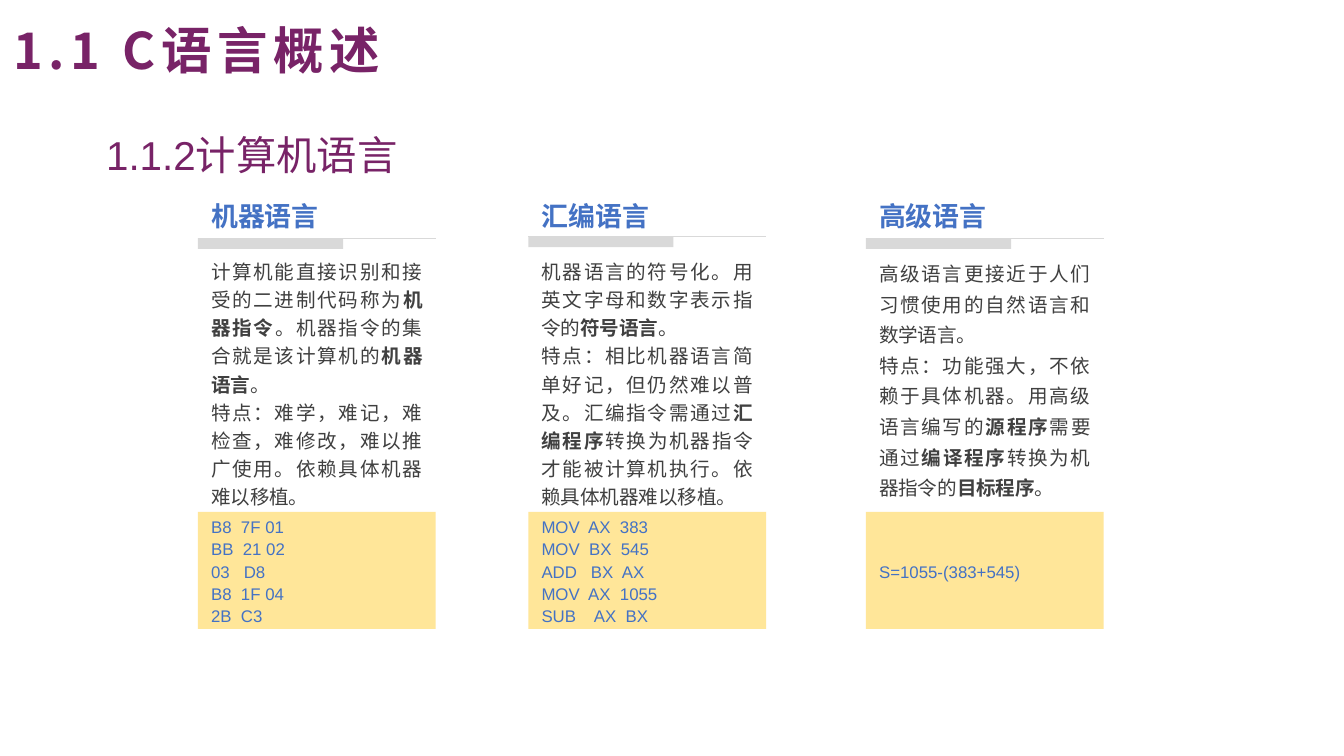
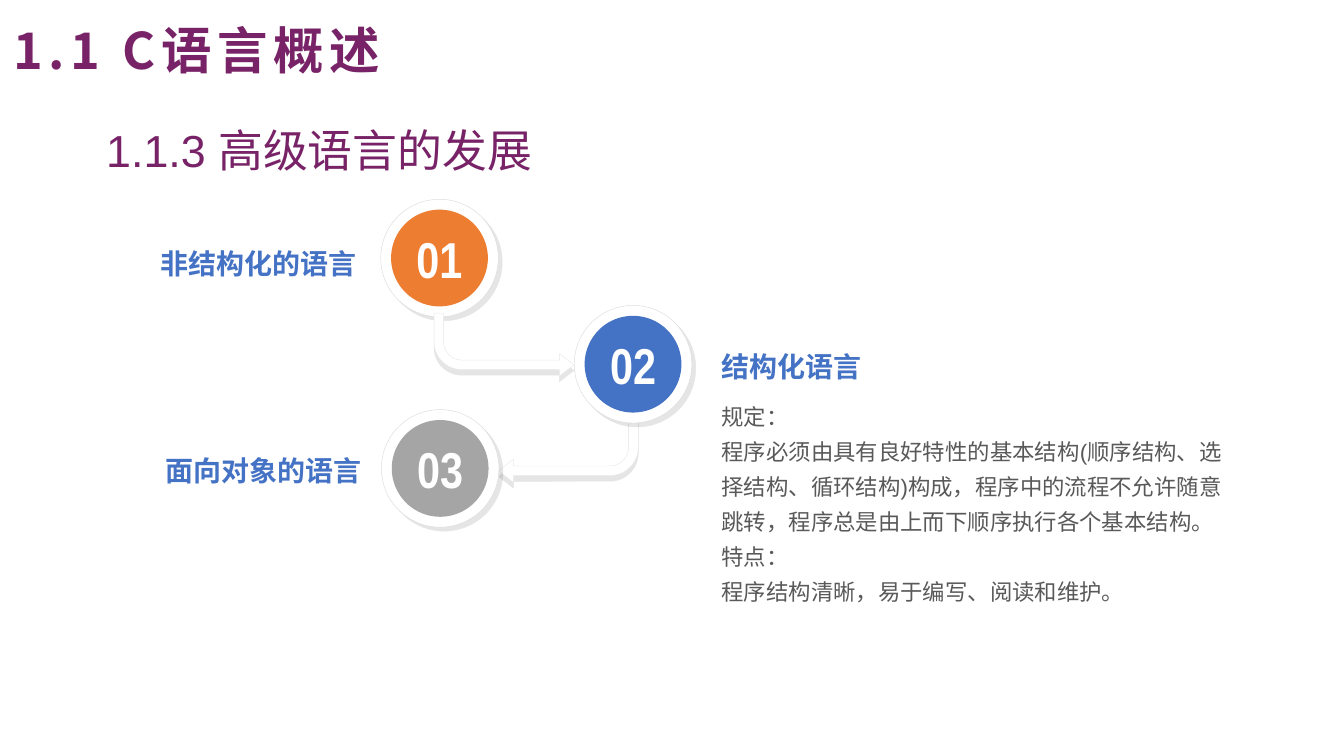
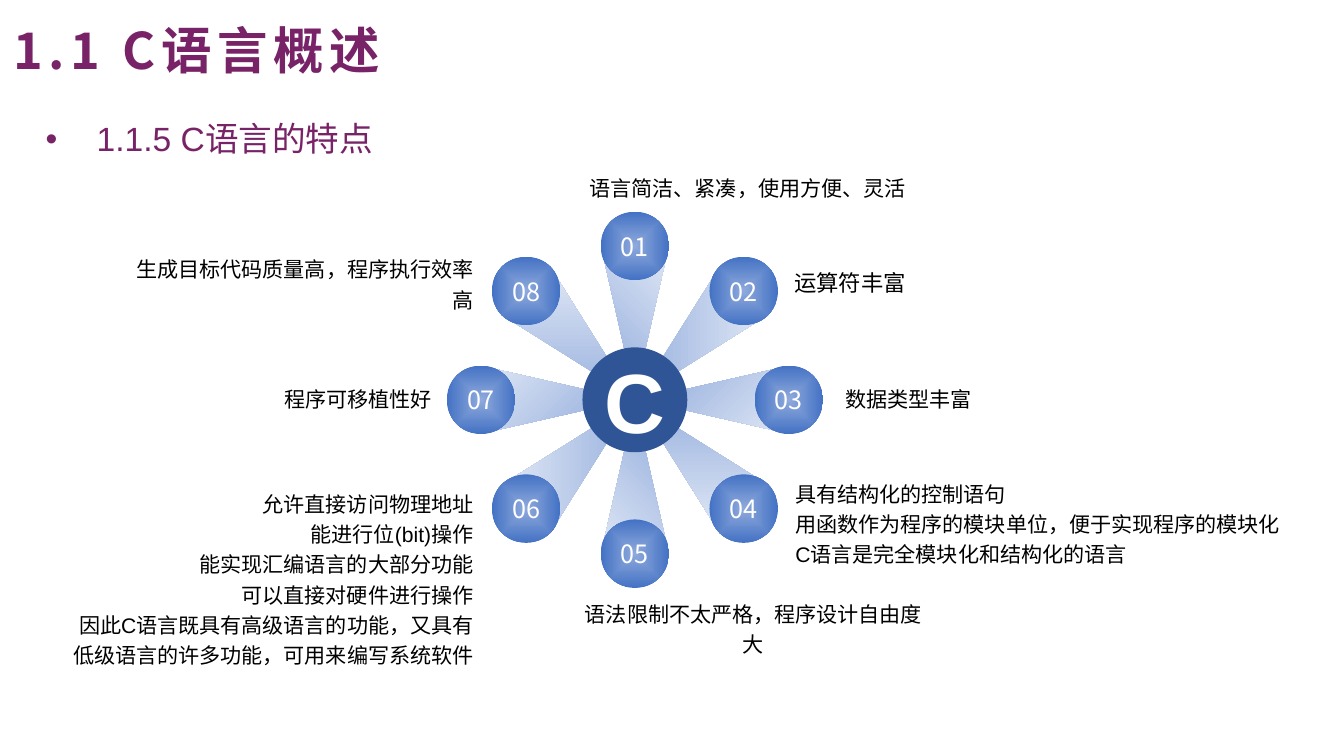
import math
from lxml import etree
from pptx import Presentation
from pptx import util as u
from pptx.dml.color import RGBColor
from pptx.enum import shapes, text
from pptx.oxml import ns

# Shared look; the grid has 100 square cells across the 16:9 slide
WIDTH = u.Inches(10)
HEIGHT = u.Emu(WIDTH * 9 // 16)
CELL = WIDTH / 100
PURPLE, BLUE, WHITE, BLACK = "782367", "4472C4", "FFFFFF", "000000"
BAR_GREY, CODE_FILL = "D9D9D9", "FFE699"
PALE_BLUE, SOFT_BLUE, DEEP_BLUE = "DAE3F3", "8FAADC", "2F5597"
SANS, NARROW, HAN = "Arial", "Arial Narrow", "Noto Sans CJK SC"
LEFT, CENTER, RIGHT, JUSTIFY = (text.PP_ALIGN.LEFT, text.PP_ALIGN.CENTER,
                                text.PP_ALIGN.RIGHT, text.PP_ALIGN.JUSTIFY)
TOP, MIDDLE, BOTTOM = (text.MSO_ANCHOR.TOP, text.MSO_ANCHOR.MIDDLE,
                       text.MSO_ANCHOR.BOTTOM)
KIND = shapes.MSO_SHAPE
CHAPTER = "1.1 C语言概述"
CHAPTER_BOX = (0, 0.9, 63.7, 5.9)


def color(code):
    return RGBColor.from_string(code)


def cells(*values):
    return [u.Emu(round(value * CELL)) for value in values]


def add_xml(parent, tag, **attributes):
    return etree.SubElement(parent, ns.qn(tag), attributes)


def write(shape, lines, size, code, font=SANS, bold=None, align=LEFT, anchor=TOP,
          spacing=None, insets=(1, 0.5, 1, 0.5), tracking=None, bullet=None):
    """Fill a shape with paragraphs; **marked** parts become bold."""
    frame = shape.text_frame
    frame.word_wrap = True
    frame.auto_size = text.MSO_AUTO_SIZE.NONE
    frame.vertical_anchor = anchor
    (frame.margin_left, frame.margin_top,
     frame.margin_right, frame.margin_bottom) = cells(*insets)
    for index, line in enumerate(lines):
        paragraph = frame.add_paragraph() if index else frame.paragraphs[0]
        paragraph.alignment = align
        paragraph.line_spacing = spacing
        if bullet:
            props = paragraph._p.get_or_add_pPr()
            indent = cells(3.8)[0]
            props.set("marL", str(indent))
            props.set("indent", str(-indent))
            add_xml(props, "a:buFont", typeface=font)
            add_xml(props, "a:buChar", char=bullet)
        style = paragraph.font
        style.size, style.name, style.bold = u.Pt(size), font, bold
        style.color.rgb = color(code)
        add_xml(style._element, "a:ea", typeface=font)
        if tracking:
            style._element.set("spc", str(tracking * 100))
        for part, words in enumerate(line.split("**")):
            if words:
                run = paragraph.add_run()
                run.text = words
                if part % 2:
                    run.font.bold = True


def label(slide, box, lines, size, code=BLACK, **style):
    write(slide.shapes.add_textbox(*cells(*box)), lines, size, code, **style)


def title(slide, box, words, size, **style):
    holder = slide.shapes.title
    holder.left, holder.top, holder.width, holder.height = cells(*box)
    write(holder, [words], size, PURPLE, **style)


def chapter(slide, put):
    """Put the chapter heading in the title or in a text box."""
    style = dict(font=HAN, bold=True, tracking=3)
    if put is title:
        title(slide, CHAPTER_BOX, CHAPTER, 27, **style)
    else:
        label(slide, CHAPTER_BOX, [CHAPTER], 27, PURPLE, **style)


def solid(parent, kind, box, fill=None, line=None):
    shape = parent.add_shape(kind, *cells(*box))
    shape.shadow.inherit = False
    if fill:
        shape.fill.solid()
        shape.fill.fore_color.rgb = color(fill)
    if line:
        shape.line.color.rgb = color(line)
        shape.line.width = u.Pt(0.25)
    else:
        shape.line.fill.background()
    return shape


def around(x, y, width, height=None):
    """Box of the given size centred on a point."""
    height = height or width
    return x - width / 2, y - height / 2, width, height


def flip(shape, *axes):
    for axis in axes:
        shape._element.spPr.find(ns.qn("a:xfrm")).set(axis, "1")


def drop_shadow(shape, degrees):
    effects = shape._element.spPr.find(ns.qn("a:effectLst"))
    shade = add_xml(effects, "a:outerShdw", blurRad="0", dist=str(u.Pt(3)),
                    dir=str(degrees * 60000), algn="ctr", rotWithShape="0")
    add_xml(add_xml(shade, "a:srgbClr", val=BLACK), "a:alpha", val="10000")


def gradient(shape, start, end, radial=False):
    shape.fill.gradient()
    for stop, code, place in zip(shape.fill.gradient_stops, (start, end), (0, 0.99)):
        stop.color.rgb, stop.position = color(code), place
    if not radial:
        shape.fill.gradient_angle = 315
        return
    grad = shape._element.spPr.find(ns.qn("a:gradFill"))
    grad.remove(grad.find(ns.qn("a:lin")))
    focus = add_xml(grad, "a:path", path="shape")
    add_xml(focus, "a:fillToRect", l="50000", t="50000", r="50000", b="50000")


# Slide 1: three kinds of language
def language_column(slide, left, bar_top, name, body, spacing, code):
    width = 17.7
    label(slide, (left, 14.25, width, 3.5), [name], 14.4, BLUE, font=HAN,
          bold=True, anchor=BOTTOM)
    label(slide, (left, 18.5, width, 20.1), body, 10.5, "404040",
          align=JUSTIFY, spacing=spacing)
    sample = solid(slide.shapes, KIND.RECTANGLE, (left, 38.1, width, 8.7), CODE_FILL)
    write(sample, code, 9, BLUE, align=JUSTIFY, anchor=MIDDLE, spacing=1.1)
    divider = slide.shapes.add_group_shape().shapes
    solid(divider, KIND.RECTANGLE, (left, bar_top, 10.8, 0.8), BAR_GREY)
    rule = divider.add_connector(shapes.MSO_CONNECTOR.STRAIGHT,
                                 *cells(left, bar_top, left + width, bar_top))
    rule.line.color.rgb = color(BAR_GREY)
    rule.line.width = u.Pt(0.5)
    add_xml(rule._element.spPr, "a:effectLst")


def languages(slide):
    title(slide, (6.9, 9.6, 86.2, 4.6), "1.1.2计算机语言", 21.6, spacing=0.9)
    language_column(
        slide, 14.73, 17.73, "机器语言",
        ["计算机能直接识别和接受的二进制代码称为**机器指令**。"
         "机器指令的集合就是该计算机的**机器语言**。",
         "特点：难学，难记，难检查，难修改，难以推广使用。依赖具体机器难以移植。"],
        1.2, ["B8  7F 01", "BB  21 02", "03   D8", "B8  1F 04", "2B  C3"])
    language_column(
        slide, 39.31, 17.6, "汇编语言",
        ["机器语言的符号化。用英文字母和数字表示指令的**符号语言**。",
         "特点：相比机器语言简单好记，但仍然难以普及。汇编指令需通过**汇编程序**"
         "转换为机器指令才能被计算机执行。依赖具体机器难以移植。"],
        1.2, ["MOV  AX  383", "MOV  BX  545", "ADD   BX  AX",
              "MOV  AX  1055", "SUB    AX  BX"])
    language_column(
        slide, 64.43, 17.73, "高级语言",
        ["高级语言更接近于人们习惯使用的自然语言和数学语言。",
         "特点：功能强大，不依赖于具体机器。用高级语言编写的**源程序**需要"
         "通过**编译程序**转换为机器指令的**目标程序**。"],
        1.3, ["S=1055-(383+545)"])
    chapter(slide, label)


# Slide 2: steps in the growth of high-level languages
def step_arrow(slide, box, *axes):
    arrow = solid(slide.shapes, KIND.BENT_ARROW, box, WHITE, "EAEAEA")
    for index, value in enumerate((0.15, 0.18, 0.23, 0.44)):
        arrow.adjustments[index] = value
    flip(arrow, *axes)
    drop_shadow(arrow, 90)


def step_disc(slide, x, y, number, fill):
    ring = solid(slide.shapes, KIND.OVAL, around(x, y, 8.75), WHITE, "DDDDDD")
    drop_shadow(ring, 45)
    disc = solid(slide.shapes, KIND.OVAL, around(x, y, 7.2), fill)
    write(disc, [number], 27, WHITE, font=NARROW, bold=True, align=CENTER,
          anchor=MIDDLE, insets=(0, 0, 0, 0))


def development(slide):
    title(slide, (6.9, 9.1, 86.2, 4.7), "1.1.3 高级语言的发展", 24, spacing=0.9)
    step_disc(slide, 32.7, 19.2, "01", "ED7D31")
    step_arrow(slide, (37.1, 31.1, 10.4, 4.8), "flipH", "flipV")
    step_arrow(slide, (32.3, 23.3, 10.4, 4.7), "flipV")
    step_disc(slide, 47.1, 27.1, "02", BLUE)
    step_disc(slide, 32.75, 34.85, "03", "A5A5A5")
    for left, top, name, align in ((4.7, 17.75, "非结构化的语言", RIGHT),
                                   (5.05, 33.15, "面向对象的语言", RIGHT),
                                   (52.7, 25.4, "结构化语言", LEFT)):
        label(slide, (left, top, 22.8, 3.7), [name], 15, BLUE, font=HAN,
              bold=True, align=align, anchor=MIDDLE)
    label(slide, (52.7, 28.9, 39.5, 17.6),
          ["规定：",
           "程序必须由具有良好特性的基本结构(顺序结构、选择结构、循环结构)构成，"
           "程序中的流程不允许随意跳转，程序总是由上而下顺序执行各个基本结构。",
           "特点：",
           "程序结构清晰，易于编写、阅读和维护。"], 12, "595959", spacing=1.3)
    chapter(slide, label)


# Slide 3: wheel of eight features
def feature_wheel(slide, x, y, count):
    def spot(index, radius):
        turn = math.radians(index * 360 / count)
        return x + radius * math.sin(turn), y - radius * math.cos(turn)

    for index in range(count):
        ray = solid(slide.shapes, KIND.ISOSCELES_TRIANGLE,
                    around(*spot(index, 5.5), 4.7, 10.35))
        gradient(ray, SOFT_BLUE, PALE_BLUE)
        flip(ray, "flipV")
        ray.rotation = index * 360 / count
    inside = dict(align=CENTER, anchor=MIDDLE, insets=(0, 0, 0, 0))
    for index in range(count):
        ball = solid(slide.shapes, KIND.OVAL, around(*spot(index, 11.45), 5.1))
        gradient(ball, SOFT_BLUE, BLUE, radial=True)
        write(ball, [f"{index + 1:02}"], 13.5, WHITE, font=HAN, **inside)
    hub = solid(slide.shapes, KIND.OVAL, around(x, y, 7.8), DEEP_BLUE)
    write(hub, ["C"], 45, WHITE, bold=True, **inside)


def features(slide):
    chapter(slide, title)
    label(slide, (2.7, 6.9, 92.4, 4.8), ["1.1.5 C语言的特点"], 18, PURPLE,
          spacing=1.5, insets=(0.7, 0.4, 0.7, 0.4), bullet="•")
    feature_wheel(slide, 47.24, 29.75, 8)
    notes = [
        ((42, 12.4, 26.8, 3), CENTER, BOTTOM, [" 语言简洁、紧凑，使用方便、灵活"]),
        ((61.5, 28, 13.6, 3), LEFT, MIDDLE, [" 数据类型丰富"]),
        ((58.2, 37.3, 38.4, 3), LEFT, MIDDLE,
         ["具有结构化的控制语句",
          "用函数作为程序的模块单位，便于实现程序的模块化",
          "C语言是完全模块化和结构化的语言"]),
        ((42, 43.9, 28.1, 3), CENTER, TOP, ["语法限制不太严格，程序设计自由度大"]),
        ((4.2, 35.3, 32, 15.3), RIGHT, MIDDLE,
         ["允许直接访问物理地址", "能进行位(bit)操作",
          "能实现汇编语言的大部分功能", "可以直接对硬件进行操作",
          "因此C语言既具有高级语言的功能，又具有低级语言的许多功能，"
          "可用来编写系统软件"]),
        ((19.8, 28, 13.3, 3), RIGHT, MIDDLE, ["程序可移植性好"]),
        ((7.7, 19.5, 28.5, 3), RIGHT, MIDDLE, ["生成目标代码质量高，程序执行效率高"]),
    ]
    for box, align, anchor, lines in notes:
        label(slide, box, lines, 11.25, align=align, anchor=anchor, spacing=1.2)
    label(slide, (58.1, 19.55, 10.5, 3), ["运算符丰富"], 12, anchor=MIDDLE)


def main():
    deck = Presentation()
    deck.slide_width, deck.slide_height = WIDTH, HEIGHT
    title_only = deck.slide_layouts[5]
    for build in (languages, development, features):
        build(deck.slides.add_slide(title_only))
    deck.save("out.pptx")


if __name__ == "__main__":
    main()
